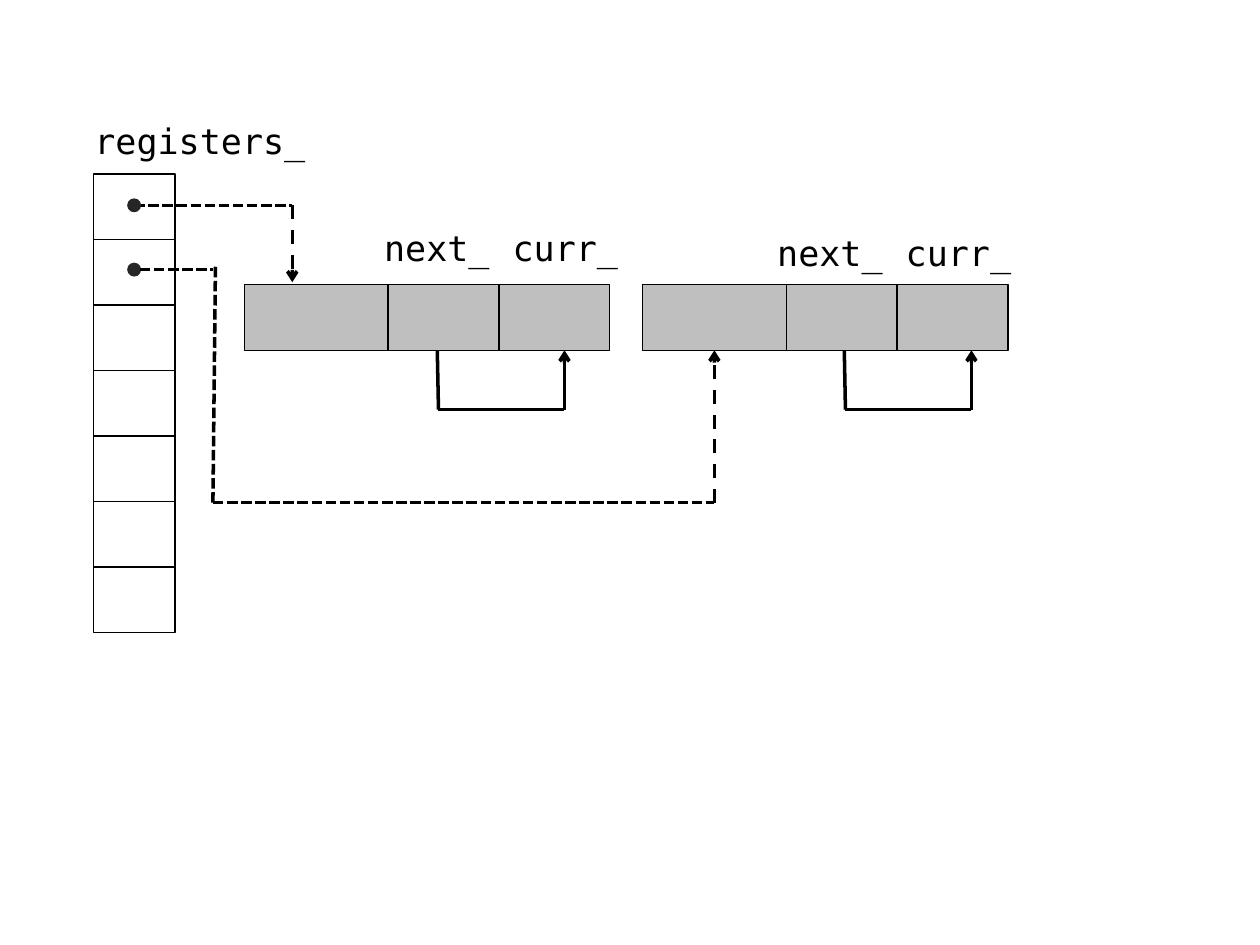
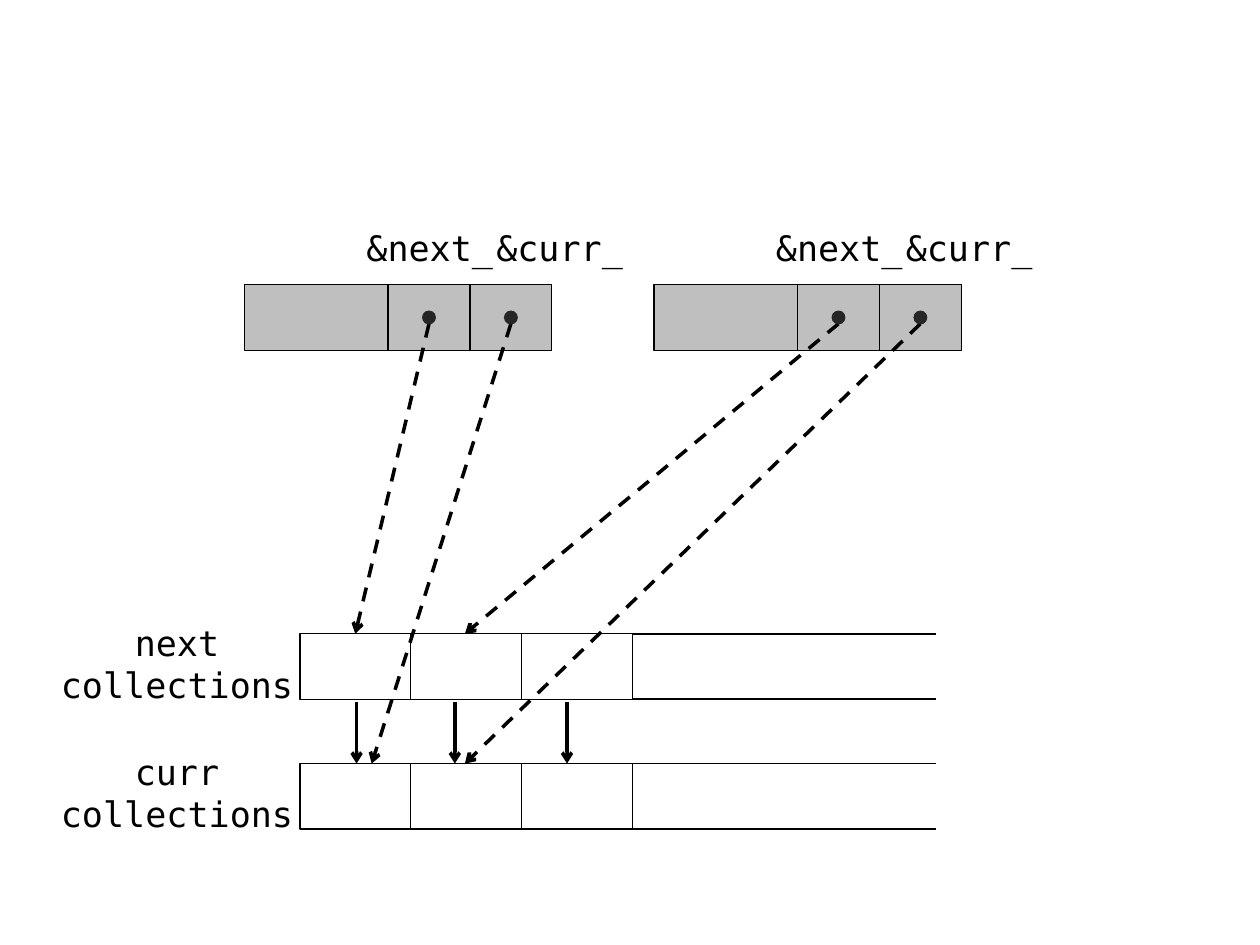
"""Two diagrams of registers whose fields point to next and current values."""
import dataclasses

import lxml.etree
import pptx
import pptx.dml.color
import pptx.enum.dml
import pptx.enum.shapes
import pptx.enum.text
import pptx.oxml.ns
import pptx.util

SHAPES = pptx.enum.shapes.MSO_SHAPE
DASH = pptx.enum.dml.MSO_LINE.DASH
SHORT_DASH = pptx.enum.dml.MSO_LINE.SQUARE_DOT
BLANK_LAYOUT = 6


@dataclasses.dataclass(frozen=True)
class Theme:
    """Colours, type and line widths in points, shared lengths in inches."""
    ink: str = "000000"
    paper: str = "FFFFFF"
    record: str = "BFBFBF"
    dot: str = "262626"
    font: str = "DejaVu Sans Mono"
    text_size: float = 20
    outline: float = 0.75
    arrow: float = 2
    border: float = 1
    slide_width: float = 10
    slide_height: float = 7.5
    row: float = 0.52
    header: float = 1.14
    field: float = 0.88
    pointer: float = 0.65
    dot_size: float = 0.1
    label_height: float = 0.44
    two_line_height: float = 0.77


THEME = Theme()


def set_values(target, values):
    """Set each attribute of target from a dict of format values."""
    for name, value in values.items():
        setattr(target, name, value)


def colour(code):
    """Turn a hex code into a colour."""
    return pptx.dml.color.RGBColor.from_string(code)


def inches(*lengths):
    """Convert lengths in inches to slide units."""
    return [pptx.util.Inches(length) for length in lengths]


def add_shape(shapes, kind, box, fill, outline):
    """Add a filled, outlined preset shape without a shadow."""
    shape = shapes.add_shape(kind, *inches(*box))
    shape.shadow.inherit = False
    shape.fill.solid()
    shape.fill.fore_color.rgb = colour(fill)
    shape.line.color.rgb = colour(outline)
    shape.line.width = pptx.util.Pt(THEME.outline)


def add_row(shapes, left, top, widths, fill):
    """Add adjoining cells from left to right."""
    for width in widths:
        add_shape(shapes, SHAPES.RECTANGLE, (left, top, width, THEME.row), fill, THEME.ink)
        left += width


def add_column(shapes, left, top, count):
    """Add a stack of pointer cells."""
    for index in range(count):
        add_row(shapes, left, top + index * THEME.row, [THEME.pointer], THEME.paper)


def add_record(slide, left, top, field):
    """Add a grouped record: a header cell and two fields."""
    group = slide.shapes.add_group_shape()
    add_row(group.shapes, left, top, [THEME.header, field, field], THEME.record)


def add_dot(slide, x, y):
    """Add the dot where a pointer starts, centred on x and y."""
    size = THEME.dot_size
    add_shape(slide.shapes, SHAPES.OVAL, (x - size / 2, y - size / 2, size, size),
              THEME.dot, THEME.dot)


def add_line(slide, start, end, dash=None, arrow=False, width=THEME.arrow):
    """Add a straight line, dashed or with an arrowhead at its end if asked."""
    connector = slide.shapes.add_connector(
        pptx.enum.shapes.MSO_CONNECTOR.STRAIGHT, *inches(*start, *end))
    line = connector.line
    line.color.rgb = colour(THEME.ink)
    line.width = pptx.util.Pt(width)
    if dash:
        line.dash_style = dash
    properties = connector.element.spPr
    name = pptx.oxml.ns.qn
    if arrow:
        lxml.etree.SubElement(properties.find(name("a:ln")), name("a:tailEnd"), type="arrow")
    lxml.etree.SubElement(properties, name("a:effectLst"))


def add_label(slide, left, top, width, lines, height=THEME.label_height, align="LEFT"):
    """Add an unwrapped label with one paragraph for each line."""
    frame = slide.shapes.add_textbox(*inches(left, top, width, height)).text_frame
    set_values(frame, {
        "word_wrap": False,
        "auto_size": pptx.enum.text.MSO_AUTO_SIZE.SHAPE_TO_FIT_TEXT,
        "text": "\n".join(lines),
    })
    for paragraph in frame.paragraphs:
        paragraph.alignment = getattr(pptx.enum.text.PP_ALIGN, align)
        for run in paragraph.runs:
            set_values(run.font, {"name": THEME.font,
                                  "size": pptx.util.Pt(THEME.text_size)})
            run.font.color.rgb = colour(THEME.ink)


def add_field_loop(slide, x, bottom):
    """Join the next field to the current field below a record."""
    depth = bottom + 0.47
    add_line(slide, (x + 1, depth), (x + 1, bottom), arrow=True)
    add_line(slide, (x, depth), (x - 0.01, bottom - 0.04))
    add_line(slide, (x, depth), (x + 1, depth))


def build_registers(slide):
    """Show the register array pointing to two records."""
    top, column_left, column_top = 2.26, 0.74, 1.38
    bottom = top + THEME.row
    dot_x = column_left + THEME.pointer / 2
    add_line(slide, (2.32, 1.63), (2.32, 2.24), DASH, arrow=True)
    add_line(slide, (1.69, 3.99), (5.67, 3.99), SHORT_DASH)
    add_line(slide, (5.67, 3.99), (5.67, bottom), DASH, arrow=True)
    records = ((1.94, 3.48, 2.95, 1.75), (5.1, 6.71, 6.07, 1.79))
    for left, loop_x, label_left, label_top in records:
        add_field_loop(slide, loop_x, bottom)
        add_record(slide, left, top, THEME.field)
        for index, label in enumerate(("next_", "curr_")):
            add_label(slide, label_left + index * 1.02, label_top, 1.04, [label])
    add_label(slide, 0.65, 0.9, 1.89, ["registers_"])
    add_column(slide.shapes, column_left, column_top, 7)
    add_line(slide, (1.69, 3.99), (1.71, 2.11), SHORT_DASH)
    add_line(slide, (dot_x, 1.63), (2.32, 1.63), SHORT_DASH)
    for y in (1.63, 2.14):
        add_dot(slide, dot_x, y)
    add_line(slide, (1.11, 2.14), (1.69, 2.14), SHORT_DASH)


def add_collection(slide, top, name):
    """Add a named row of three cells that runs on to the right."""
    left, count, open_end = 2.38, 3, 7.43
    add_row(slide.shapes, left, top, [THEME.field] * count, THEME.paper)
    for y in (top, top + THEME.row):
        add_line(slide, (left + count * THEME.field, y), (open_end, y), width=THEME.border)
    add_label(slide, 0.38, top - 0.15, 2.05, [name, "collections"],
              THEME.two_line_height, "CENTER")


def build_collections(slide):
    """Show two records pointing into the next and current collections."""
    top, next_top, current_top = 2.26, 5.03, 6.06
    add_collection(slide, next_top, "next")
    add_collection(slide, current_top, "curr")
    for x in (2.83, 3.61, 4.5):
        add_line(slide, (x, next_top + 0.54), (x, current_top), arrow=True)
    dot_y = top + THEME.row / 2
    for left, targets in ((1.94, (2.82, 2.95)), (5.19, (3.69, 3.69))):
        add_record(slide, left, top, THEME.pointer)
        fields = zip(("&next_", "&curr_"), targets, (next_top, current_top))
        for index, (label, target, target_top) in enumerate(fields):
            x = left + THEME.header + (index + 0.5) * THEME.pointer
            add_label(slide, left + 0.87 + index * 1.03, 1.75, 1.21, [label])
            add_line(slide, (x, dot_y + 0.05), (target, target_top), DASH, arrow=True)
            add_dot(slide, x, dot_y)


def main():
    """Build both slides and save the presentation."""
    presentation = pptx.Presentation()
    width, height = inches(THEME.slide_width, THEME.slide_height)
    set_values(presentation, {"slide_width": width, "slide_height": height})
    for build in (build_registers, build_collections):
        build(presentation.slides.add_slide(presentation.slide_layouts[BLANK_LAYOUT]))
    presentation.save("out.pptx")


main()
